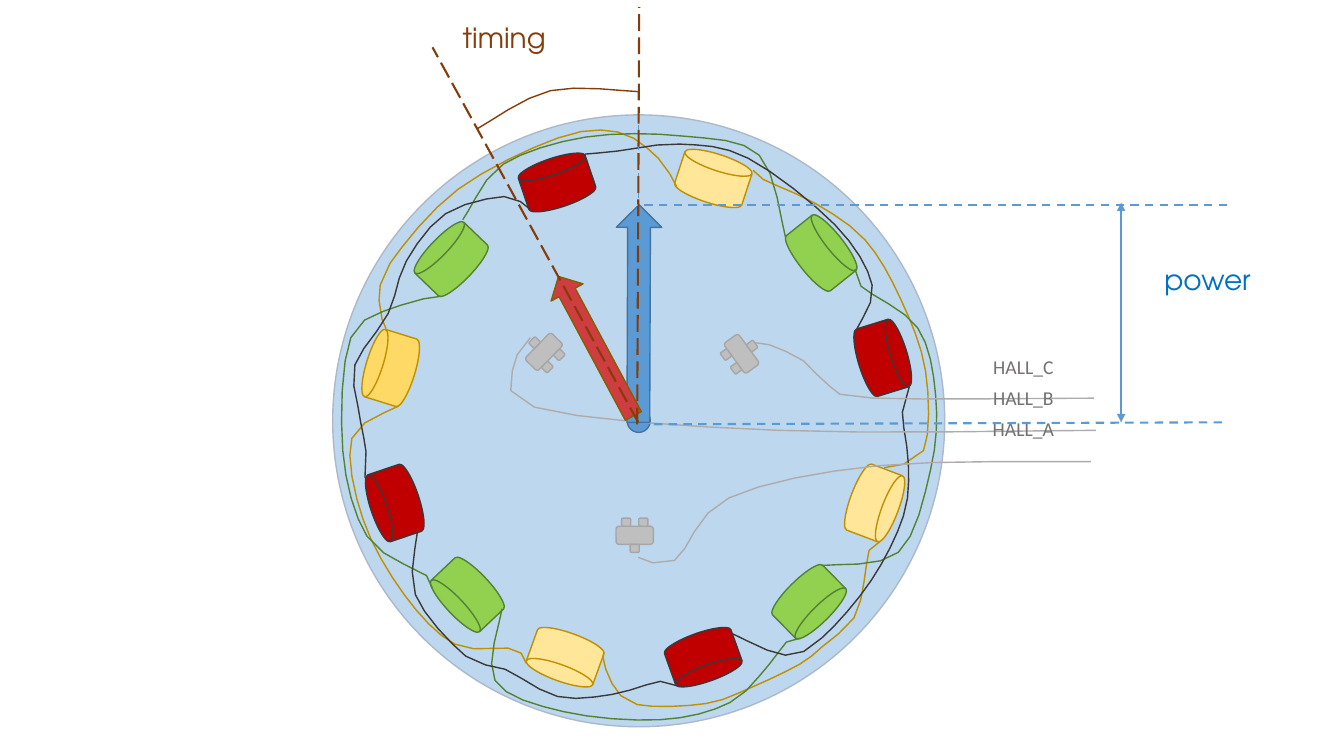
import math
from collections import namedtuple
from itertools import cycle

import pptx
import pptx.dml.color
import pptx.enum.dml
import pptx.enum.shapes
import pptx.enum.text
import pptx.oxml.ns
import pptx.util
from lxml import etree

# Slide grid: square cells, 1333 columns by 750 rows
CELL = pptx.util.Inches(0.01)
COLUMNS, ROWS = 1333, 750
STEP_LENGTH, MOST_STEPS = 18, 4

COLORS = {
    "disc": "BDD7EE", "disc_edge": "ADB9CA",
    "red": "C00000", "green": "92D050", "yellow": "FFE699", "deep_yellow": "FFD966",
    "black_wire": "3B3838", "green_wire": "548235", "yellow_wire": "BF9000",
    "blue": "5B9BD5", "blue_edge": "43739E", "arrow": "CF3D40", "arrow_edge": "806000",
    "sensor": "BFBFBF", "sensor_edge": "A6A6A6", "lead": "AFABAB", "hall": "767171",
    "timing": "843C0B", "power": "0070C0",
}
SHAPES = pptx.enum.shapes.MSO_SHAPE
DASHES = pptx.enum.dml.MSO_LINE
ALIGN = pptx.enum.text.PP_ALIGN

Box = namedtuple("Box", "left top width height")

# Coils counterclockwise, phases repeating red, green, yellow: left, top, rotation
COILS = [
    (551, 220, 342.8), (490, 116, 321.5), (383, 42, 288.1), (228, 46, 251.3),
    (123, 122, 223.9), (63, 230, 197.2), (67, 364, 161.4), (139, 455, 136.6),
    (236, 517, 109.8), (373, 517, 70.3), (478, 462, 45.3), (543, 364, 20.7),
]
DEEP_COIL = 5

# Points that each phase's wires pass through
WIRES = {
    "yellow_wire": [
        [(447, 69), (457, 78), (509, 102), (558, 138), (593, 196), (618, 268),
         (616, 347), (577, 364)],
        [(573, 437), (562, 446), (557, 477), (547, 513), (515, 542), (493, 559),
         (445, 582), (400, 598), (332, 599), (307, 578), (298, 552), (299, 547)],
        [(222, 558), (217, 548), (204, 543), (151, 539), (101, 490), (60, 415),
         (49, 335), (95, 303)],
        [(83, 226), (79, 217), (76, 198), (87, 161), (154, 88), (253, 37),
         (313, 31), (353, 57), (371, 85)],
    ],
    "green_wire": [
        [(548, 167), (554, 184), (610, 225), (628, 292), (623, 366), (591, 448), (515, 461)],
        [(494, 533), (480, 537), (463, 559), (424, 597), (355, 614), (259, 606),
         (191, 575), (198, 504)],
        [(129, 484), (123, 471), (115, 467), (64, 432), (40, 347), (48, 235),
         (97, 203), (137, 194)],
        [(159, 118), (164, 110), (199, 63), (281, 36), (377, 35), (453, 54), (479, 135)],
    ],
    "black_wire": [
        [(280, 53), (312, 50), (374, 43), (442, 57), (528, 123), (565, 183), (550, 226)],
        [(602, 283), (595, 309), (601, 361), (596, 412), (564, 476), (515, 533),
         (479, 550), (427, 529)],
        [(374, 581), (355, 576), (307, 589), (253, 591), (201, 564), (162, 551),
         (112, 490), (114, 428)],
        [(62, 374), (63, 348), (55, 303), (52, 262), (85, 211), (103, 159),
         (142, 112), (200, 95), (225, 107)],
    ],
}

# Hall sensors: centre and rotation, and the leads running to the labels
SENSORS = [(239.5, 249, 314.4), (329.5, 431, 180), (435.5, 251, 53.8)]
PINS = [(-8.5, 13), (8.5, 13), (0, -13)]
LEADS = [
    [(449, 240), (463, 242), (497, 258), (524, 284), (566, 295), (785, 295)],
    [(226, 235), (213, 252), (230, 304), (472, 327), (787, 327)],
    [(333, 453), (369, 456), (423, 394), (572, 362), (782, 358)],
]


def color(name):
    return pptx.dml.color.RGBColor.from_string(COLORS[name])


def place(box, col, row):
    return round((box.left + col) * CELL), round((box.top + row) * CELL)


def style_line(line, name, width=1, dash=None):
    line.color.rgb = color(name)
    line.width = pptx.util.Pt(width)
    if dash:
        line.dash_style = dash


def add_part(page, box, kind, area, fill, edge, rotation=0):
    col, row, width, height = area
    part = page.shapes.add_shape(kind, *place(box, col, row),
                                 round(width * CELL), round(height * CELL))
    part.shadow.inherit = False
    part.rotation = rotation
    part.fill.solid()
    part.fill.fore_color.rgb = color(fill)
    style_line(part.line, edge)


def add_line(page, box, start, end, name, width=1.5, dash=None, arrows=False):
    line = page.shapes.add_connector(pptx.enum.shapes.MSO_CONNECTOR.STRAIGHT,
                                     *place(box, *start), *place(box, *end))
    style_line(line.line, name, width, dash)
    qn = pptx.oxml.ns.qn
    properties = line.element.spPr
    if arrows:
        for tag in ("a:headEnd", "a:tailEnd"):
            etree.SubElement(properties.find(qn("a:ln")), qn(tag), type="triangle")
    etree.SubElement(properties, qn("a:effectLst"))


def add_curve(page, box, knots, name):
    """Draw a smooth open curve through the knots, with more steps on longer spans."""
    padded = [knots[0], *knots, knots[-1]]
    points = []
    for a, b, c, d in zip(padded, padded[1:], padded[2:], padded[3:]):
        steps = max(1, min(MOST_STEPS, round(math.dist(b, c) / STEP_LENGTH)))
        for step in range(1, steps + 1):
            t = step / steps
            points.append(place(box, *(
                q + t / 2 * (r - p + t * (2 * p - 5 * q + 4 * r - s
                                          + t * (3 * q - p - 3 * r + s)))
                for p, q, r, s in zip(a, b, c, d))))
    builder = page.shapes.build_freeform(*place(box, *knots[0]))
    builder.add_line_segments(points, close=False)
    curve = builder.convert_to_shape()
    curve.shadow.inherit = False
    curve.fill.background()
    style_line(curve.line, name)


def add_label(page, box, area, text, font, size, name, align=ALIGN.LEFT):
    col, row, width, height = area
    label = page.shapes.add_textbox(*place(box, col, row), width * CELL, height * CELL)
    label.text_frame.word_wrap = True
    para = label.text_frame.paragraphs[0]
    para.alignment = align
    span = para.add_run()
    span.text = text
    span.font.name = font
    span.font.size = pptx.util.Pt(size)
    span.font.color.rgb = color(name)


def draw_motor(page, box):
    # Disc, coils and hub
    add_part(page, box, SHAPES.OVAL, (30, 14, 607, 607), "disc", "disc_edge")
    phases = cycle(["red", "green", "yellow"])
    edges = {"red": "black_wire", "green": "green_wire", "yellow": "yellow_wire"}
    for index, ((col, row, turn), phase) in enumerate(zip(COILS, phases)):
        fill = "deep_yellow" if index == DEEP_COIL else phase
        add_part(page, box, SHAPES.FLOWCHART_DIRECT_ACCESS_STORAGE,
                 (col, row, 49, 70), fill, edges[phase], turn)
    add_part(page, box, SHAPES.FLOWCHART_CONNECTOR, (322, 306, 23, 23), "blue", "blue_edge")
    # Phase wires
    for name, wires in WIRES.items():
        for knots in wires:
            add_curve(page, box, knots, name)


def draw_sensors(page, box):
    for x, y, turn in SENSORS:
        cos, sin = math.cos(math.radians(turn)), math.sin(math.radians(turn))
        pins = [(x + u * cos - v * sin, y + u * sin + v * cos, 9, 8) for u, v in PINS]
        for mid_x, mid_y, width, height in [(x, y, 37, 18), *pins]:
            area = (mid_x - width / 2, mid_y - height / 2, width, height)
            add_part(page, box, SHAPES.ROUNDED_RECTANGLE, area, "sensor", "sensor_edge", turn)
    for knots in LEADS:
        add_curve(page, box, knots, "lead")
    for index, letter in enumerate("CBA"):
        add_label(page, box, (645.5, 247 + 31 * index, 139, 58), f"HALL_{letter}",
                  "Calibri", 14, "hall", ALIGN.CENTER)


def draw_vectors(page, box):
    add_line(page, box, (333, 14), (333, 319), "blue", 1, DASHES.DASH)
    add_part(page, box, SHAPES.DOWN_ARROW, (311, 103, 45, 216), "blue", "blue_edge", 180.2)
    add_part(page, box, SHAPES.DOWN_ARROW, (273, 165, 36, 157), "arrow", "arrow_edge", 151.8)


def draw_timing(page, box):
    right, bottom = box.width, box.height
    add_line(page, box, (right, bottom - 2), (0, 40), "timing", dash=DASHES.LONG_DASH)
    add_line(page, box, (right - 1, bottom), (right + 1, 0), "timing", dash=DASHES.LONG_DASH)
    add_label(page, box, (20, 8, 301, 75), "timing", "TeX Gyre Adventor", 20, "timing")
    add_curve(page, box, [(44, 121), (117, 83), (right + 1, 84)], "timing")


def draw_power(page, box):
    right, bottom = box.width, box.height
    add_line(page, box, (right, 0), (0, 0), "blue", dash=DASHES.DASH)
    add_line(page, box, (right - 5, bottom), (1, bottom + 2), "blue", dash=DASHES.DASH)
    add_line(page, box, (480, -2), (480, bottom), "blue", arrows=True)
    add_label(page, box, (513, 52, 180, 75), "power", "TeX Gyre Adventor", 20, "power")


def main():
    deck = pptx.Presentation()
    deck.slide_width, deck.slide_height = COLUMNS * CELL, ROWS * CELL
    page = deck.slides.add_slide(deck.slide_layouts[6])
    motor = Box(300, 100, 667, 640)
    draw_motor(page, motor)
    draw_sensors(page, motor)
    draw_vectors(page, motor)
    draw_timing(page, Box(429, 7, 204, 414))
    draw_power(page, Box(632, 203, 585, 216))
    deck.save("out.pptx")


if __name__ == "__main__":
    main()
